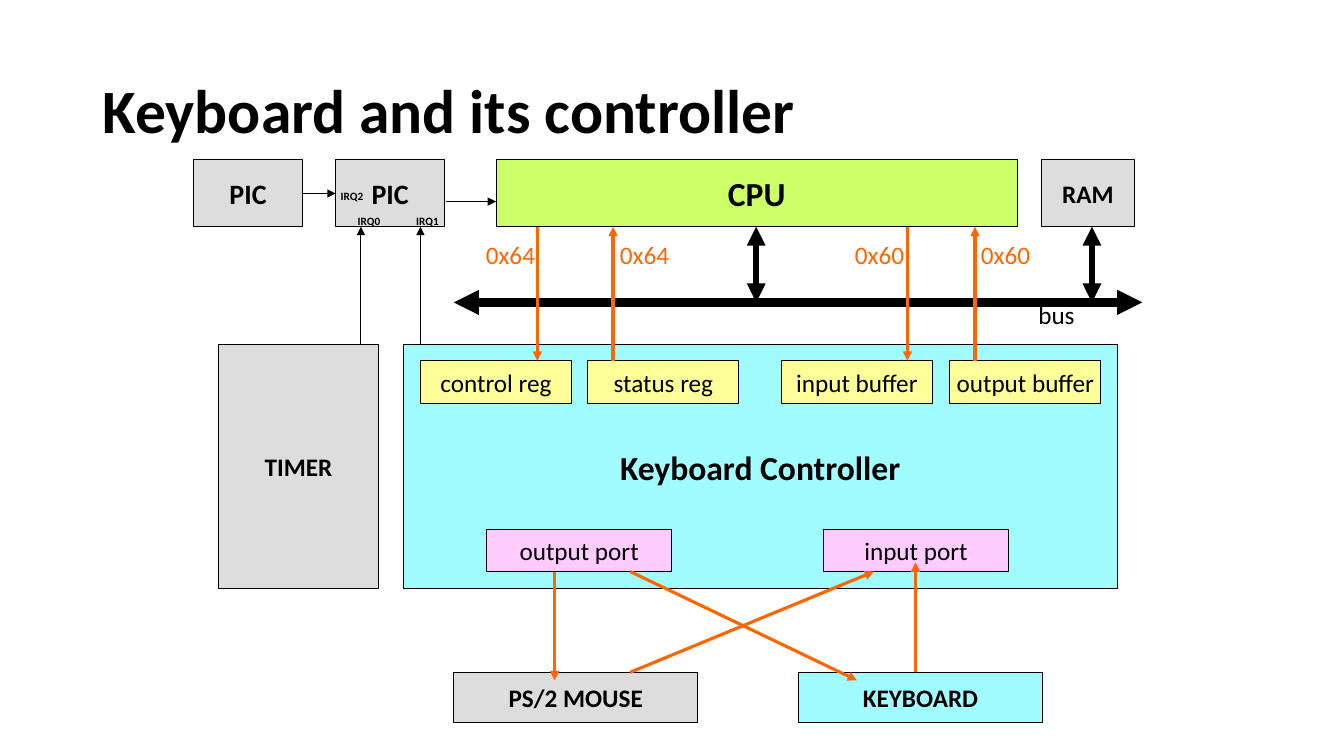
import pptx
import pptx.util
import pptx.dml.color
import pptx.enum.shapes
import pptx.enum.text
import pptx.oxml.ns
import lxml.etree

Inches = pptx.util.Inches
Rgb = pptx.dml.color.RGBColor.from_string
Align = pptx.enum.text.PP_ALIGN
Anchor = pptx.enum.text.MSO_ANCHOR

THEME = {
    "font": "Calibri",
    "ink": "000000", "flow": "FF6600",
    "gray": "DDDDDD", "lime": "CCFF66", "cyan": "A0FCFE",
    "cream": "FFFF99", "pink": "FFCCFF",
    "title": 44, "big": 24, "chip": 20, "body": 18, "tiny": 8,
    "thin": 0.75, "mid": 2.25, "thick": 4.5, "bus": 6,
}

TITLE = "Keyboard and its controller"

TOP, ROW = 1.58, 0.67
BASE = TOP + ROW
CTRL, REG, PORT, DEV, BUS = 3.42, 3.58, 5.25, 6.67, 3
SLOT = 0.42
FOOT = PORT + SLOT

BLOCKS = [
    ("Keyboard Controller", 4, CTRL, 7.08, 2.42, "cyan", "big"),
    ("TIMER", 2.17, CTRL, 1.58, 2.42, "gray", "body"),
    ("CPU", 4.92, TOP, 5.17, ROW, "lime", "big"),
    ("RAM", 10.33, TOP, 0.92, ROW, "gray", "body"),
    ("PIC", 1.92, TOP, 1.08, ROW, "gray", "chip"),
    ("PIC", 3.33, TOP, 1.08, ROW, "gray", "chip"),
    ("PS/2 MOUSE", 4.5, DEV, 2.42, 0.5, "gray", "body"),
    ("KEYBOARD", 7.92, DEV, 2.42, 0.5, "cyan", "body"),
]
REGS = [("control reg", 4.17), ("status reg", 5.83),
        ("input buffer", 7.75), ("output buffer", 9.42)]
PORTS = [("output port", 4.83), ("input port", 8.17)]

DOWN, UP = (5.33, 9), (6.08, 9.67)
IRQS = (3.58, 4.17)
LINKS = [
    (3, 1.92, 3.33, 1.92, "ink", "thin", False),
    (4.42, 2, 4.92, 2, "ink", "thin", False),
    (4.5, BUS, 11.33, BUS, "ink", "bus", True),
    (5.5, FOOT, 5.5, 6.75, "flow", "mid", False),
    (6.25, FOOT, 8.5, 6.75, "flow", "mid", False),
    (6.25, DEV, 8.67, FOOT, "flow", "mid", False),
    (9.08, DEV, 9.08, 5.58, "flow", "mid", False),
]
LINKS += [(x, CTRL, x, BASE, "ink", "thin", False) for x in IRQS]
LINKS += [(x, BASE, x, REG, "flow", "mid", False) for x in DOWN]
LINKS += [(x, REG, x, BASE, "flow", "mid", False) for x in UP]
LINKS += [(x, BASE, x, BUS, "ink", "thick", True) for x in (7.5, 10.83)]

LABELS = [("bus", 10.2, 2.92, 0.57, "ink")]
LABELS += [(name, x, 2.33, 0.69, "flow") for name, x in
           [("0x64", 4.72), ("0x64", 6.05), ("0x60", 8.38), ("0x60", 9.63)]]
PINS = [("IRQ0", 3.45, 2.08), ("IRQ1", 4.03, 2.08), ("IRQ2", 3.28, 1.83)]


def assign(item, vals):
    for key, val in vals.items():
        setattr(item, key, val)


def write(shape, text, size, color="ink", bold=False, frame=None, para=None):
    body = shape.text_frame
    assign(body, {"word_wrap": False, **(frame or {})})
    line = body.paragraphs[0]
    assign(line, para or {})
    run = line.add_run()
    run.text = text
    assign(run.font, {"name": THEME["font"], "bold": bold,
                      "size": pptx.util.Pt(THEME[size])})
    run.font.color.rgb = Rgb(THEME[color])


def block(text, x, y, wide, high, fill, size, bold=True):
    shape = slide.shapes.add_shape(
        pptx.enum.shapes.MSO_SHAPE.RECTANGLE,
        *map(Inches, (x, y, wide, high)))
    shape.shadow.inherit = False
    shape.fill.solid()
    shape.fill.fore_color.rgb = Rgb(THEME[fill])
    shape.line.color.rgb = Rgb(THEME["ink"])
    shape.line.width = pptx.util.Pt(THEME["thin"])
    write(shape, text, size, bold=bold,
          frame={"vertical_anchor": Anchor.MIDDLE},
          para={"alignment": Align.CENTER})


def label(text, x, y, wide, high, size, **form):
    shape = slide.shapes.add_textbox(*map(Inches, (x, y, wide, high)))
    write(shape, text, size, **form)


def link(x1, y1, x2, y2, color, width, both):
    wire = slide.shapes.add_connector(
        pptx.enum.shapes.MSO_CONNECTOR.STRAIGHT,
        *map(Inches, (x1, y1, x2, y2)))
    wire.line.color.rgb = Rgb(THEME[color])
    wire.line.width = pptx.util.Pt(THEME[width])
    qn = pptx.oxml.ns.qn
    edge = wire.line._get_or_add_ln()
    for end in ["a:headEnd"] * both + ["a:tailEnd"]:
        lxml.etree.SubElement(edge, qn(end), type="triangle")
    lxml.etree.SubElement(wire._element.spPr, qn("a:effectLst"))


deck = pptx.Presentation()
assign(deck, {"slide_width": Inches(13.33), "slide_height": Inches(7.5)})
slide = deck.slides.add_slide(deck.slide_layouts[6])

label(TITLE, 0.92, 0.4, 11.5, 1.45, "title", bold=True,
      frame={"word_wrap": True, "vertical_anchor": Anchor.MIDDLE},
      para={"line_spacing": 0.9})
for part in BLOCKS:
    block(*part)
for name, x in REGS:
    block(name, x, REG, 1.5, SLOT, "cream", "body", False)
for name, x in PORTS:
    block(name, x, PORT, 1.83, SLOT, "pink", "body", False)
for part in LINKS:
    link(*part)
for name, x, y, wide, color in LABELS:
    label(name, x, y, wide, 0.4, "body", color=color)
for name, x, y in PINS:
    label(name, x, y, 0.43, 0.24, "tiny", bold=True)

deck.save("out.pptx")
